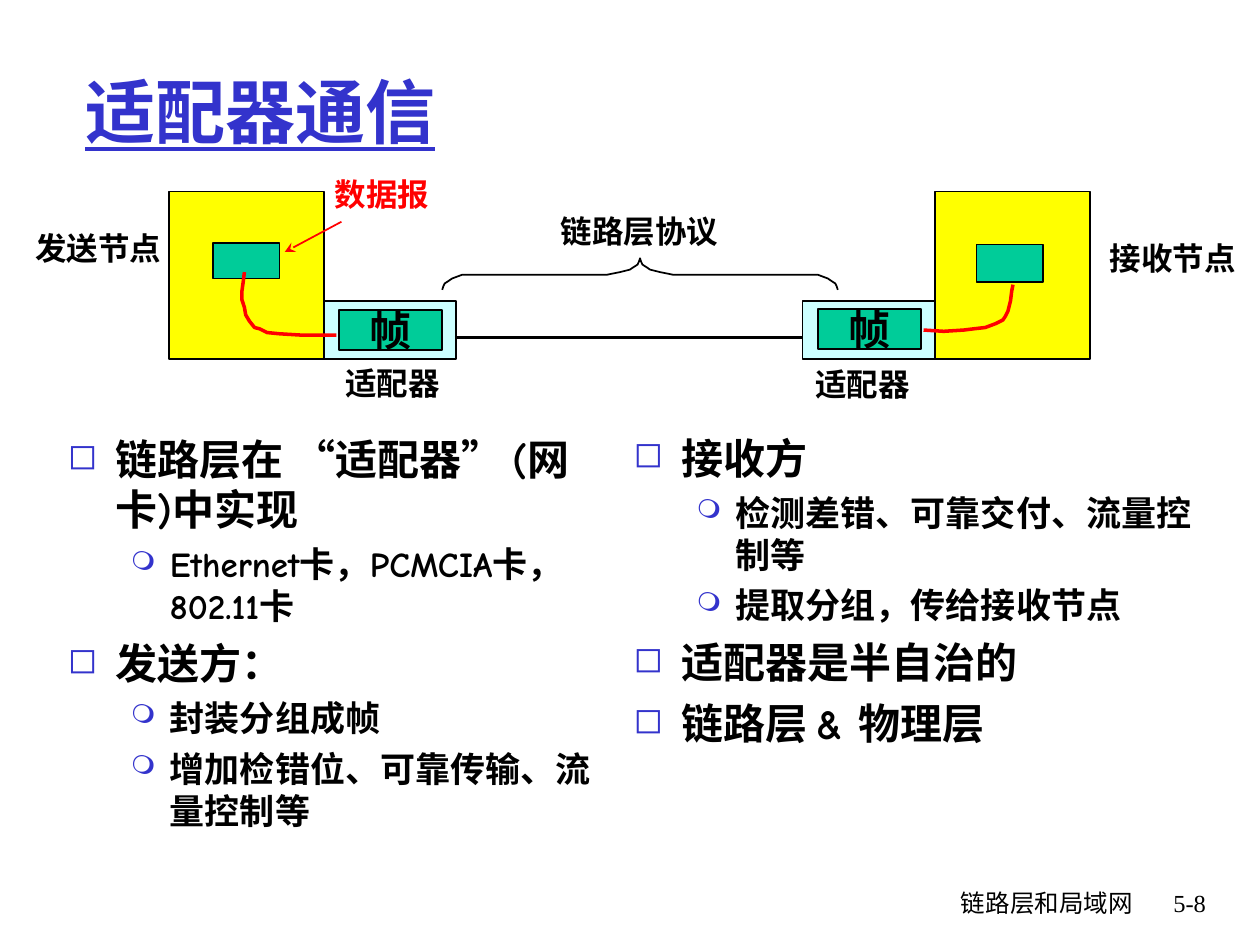
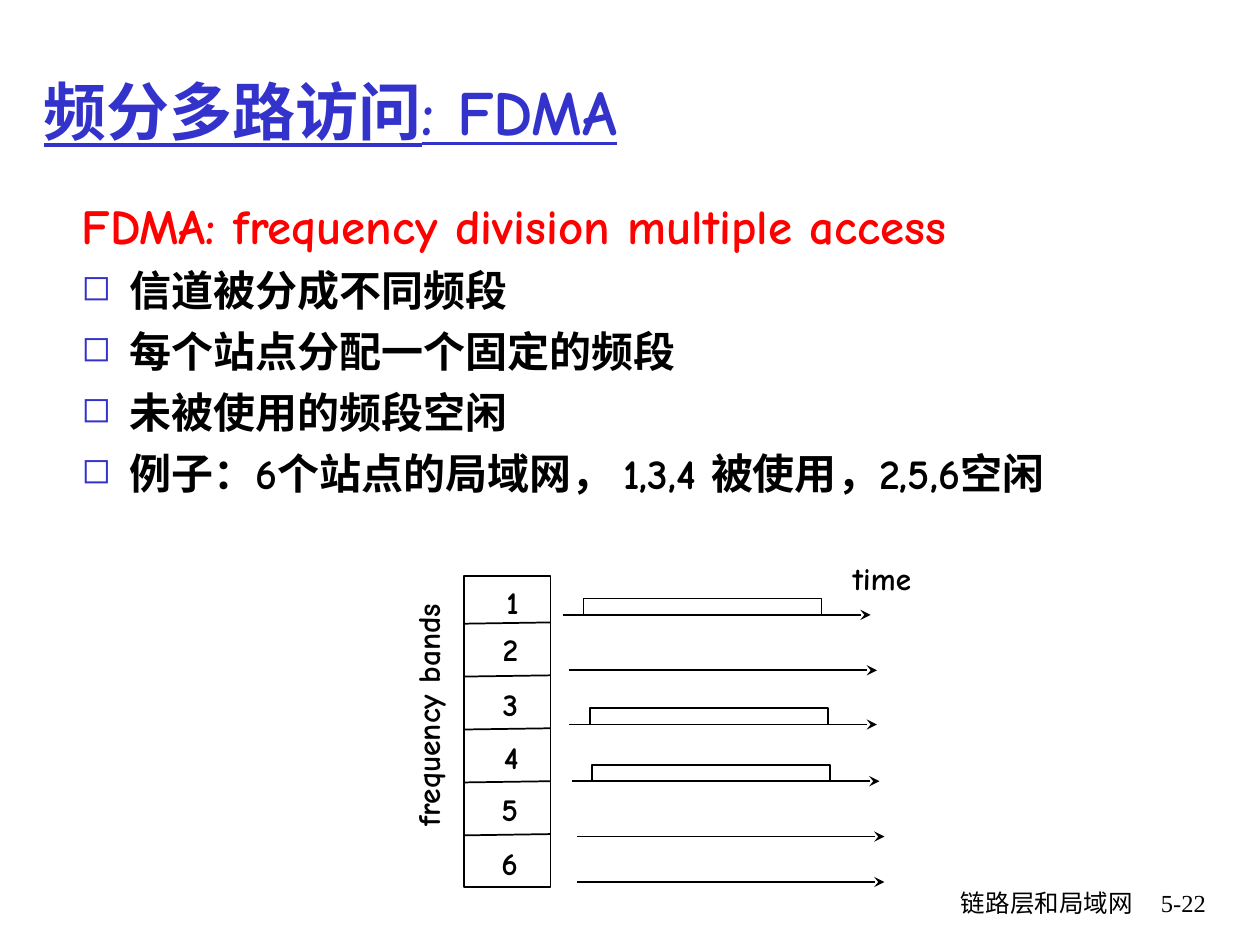
import pptx
import pptx.util
import pptx.dml.color
import pptx.enum.shapes
import pptx.enum.text
import pptx.oxml.ns
import pptx.shapes.connector
from lxml import etree

Inches = pptx.util.Inches
Pt = pptx.util.Pt
hue = pptx.dml.color.RGBColor.from_string
qn = pptx.oxml.ns.qn
RECT = pptx.enum.shapes.MSO_SHAPE.RECTANGLE
LINE = pptx.enum.shapes.MSO_CONNECTOR.STRAIGHT
MID = pptx.enum.text.MSO_ANCHOR.MIDDLE
LEFT = pptx.enum.text.PP_ALIGN.LEFT
RIGHT = pptx.enum.text.PP_ALIGN.RIGHT
CENTER = pptx.enum.text.PP_ALIGN.CENTER

BLACK, BLUE, RED, GREEN = "000000", "3333CC", "FF0000", "00CC99"
YELLOW, CYAN, WHITE = "FFFF00", "CCFFFF", "FFFFFF"
BASE = {"name": "Comic Neue", "size": Pt(18), "bold": True}
FOOT = {"size": Pt(14), "bold": False}
HEAD = {"size": Pt(28)}
BIG = {"size": Pt(24)}
SMALL = {"size": Pt(20)}
KINDS = {
    "head": (HEAD, RED, 0.38, -0.38, 7, None, 0),
    "main": (BIG, BLACK, 0.38, -0.38, 6, "◻", 85),
    "sub": (SMALL, BLACK, 0.81, -0.31, 5, "❍", 75),
}


def write(frame, rows, form=None, color=BLACK, align=LEFT, wrap=False):
    frame.word_wrap = wrap
    for num, (kind, text) in enumerate(rows):
        par = frame.add_paragraph() if num else frame.paragraphs[0]
        par.alignment = align
        look, ink = form or {}, color
        if kind:
            look, ink, left, hang, gap, mark, size = KINDS[kind]
            if num:
                par.space_before = Pt(gap)
            prop = par._p.get_or_add_pPr()
            prop.set("marL", str(Inches(left)))
            prop.set("indent", str(Inches(hang)))
            if mark:
                tint = etree.SubElement(prop, qn("a:buClr"))
                etree.SubElement(tint, qn("a:srgbClr"), val=BLUE)
                etree.SubElement(prop, qn("a:buSzPct"), val=str(size * 1000))
                etree.SubElement(prop, qn("a:buChar"), char=mark)
        run = par.add_run()
        run.text = text
        for key, val in {**BASE, **look}.items():
            setattr(run.font, key, val)
        run.font.color.rgb = hue(ink)


def trim(shape, color=BLACK, width=1, fill=None, tip=False):
    shape.line.color.rgb = hue(color)
    shape.line.width = Pt(width)
    props = shape.element.spPr
    if tip:
        etree.SubElement(props.find(qn("a:ln")), qn("a:tailEnd"), type="stealth")
    if isinstance(shape, pptx.shapes.connector.Connector):
        etree.SubElement(props, qn("a:effectLst"))
        return
    shape.shadow.inherit = False
    if fill:
        shape.fill.solid()
        shape.fill.fore_color.rgb = hue(fill)
    else:
        shape.fill.background()


deck = pptx.Presentation()
deck.slide_width, deck.slide_height = Inches(10), Inches(7.5)

pages = []
for title, left, width, size, page in [
    ("适配器通信", 0.58, 8.5, 40, "5-8"),
    ("频分多路访问: FDMA", 0.25, 9.44, 36, "5-22"),
]:
    slide = deck.slides.add_slide(deck.slide_layouts[6])
    pages.append(slide)
    for text, box, face in [
        ("链路层和局域网", (5.92, 7, 3.17, 0.5), "Comic Neue"),
        (page, (8.93, 7, 0.74, 0.5), "Times New Roman"),
    ]:
        frame = slide.shapes.add_textbox(*map(Inches, box)).text_frame
        write(frame, [(None, text)], {**FOOT, "name": face}, align=RIGHT, wrap=True)
    box = (left, 0.25, width, 1.25)
    frame = slide.shapes.add_textbox(*map(Inches, box)).text_frame
    frame.vertical_anchor = MID
    write(frame, [(None, title)], {"size": Pt(size), "underline": True}, BLUE, wrap=True)

link, fdma = [slide.shapes for slide in pages]

for shapes, box, rows in [
    (link, (0.44, 3.39, 4.45, 3.31), [
        ("main", "链路层在 “适配器” (网卡)中实现"),
        ("sub", "Ethernet卡，PCMCIA卡， 802.11卡"),
        ("main", "发送方："),
        ("sub", "封装分组成帧"),
        ("sub", "增加检错位、可靠传输、流量控制等"),
    ]),
    (link, (4.93, 3.38, 4.72, 3.27), [
        ("main", "接收方"),
        ("sub", "检测差错、可靠交付、流量控制等"),
        ("sub", "提取分组，传给接收节点"),
        ("main", "适配器是半自治的"),
        ("main", "链路层 & 物理层"),
    ]),
    (fdma, (0.55, 1.5, 8.99, 5.08), [
        ("head", "FDMA: frequency division multiple access"),
        ("main", "信道被分成不同频段"),
        ("main", "每个站点分配一个固定的频段"),
        ("main", "未被使用的频段空闲"),
        ("main", "例子：6个站点的局域网， 1,3,4 被使用，2,5,6空闲"),
    ]),
]:
    write(shapes.add_textbox(*map(Inches, box)).text_frame, rows, wrap=True)

for node, card, top, data in [
    (1.34, 2.57, 2.46, (1.69, 1.93, 0.53, 0.28)),
    (7.42, 6.37, 2.45, (7.75, 1.94, 0.53, 0.3)),
]:
    for box, fill in [
        ((card, 2.39, 1.05, 0.46), CYAN),
        ((node, 1.52, 1.23, 1.33), YELLOW),
        (data, GREEN),
        ((card + 0.12, top, 0.82, 0.32), GREEN),
    ]:
        rect = link.add_shape(RECT, *map(Inches, box))
        trim(rect, fill=fill)
    rect.text_frame.vertical_anchor = MID
    write(rect.text_frame, [(None, "帧")], BIG, align=CENTER)

for ends, color, width, tip in [
    ((3.61, 2.68, 6.37, 2.68), BLACK, 2, False),
    ((2.71, 1.76, 2.26, 2), RED, 1, True),
]:
    trim(link.add_connector(LINE, *map(Inches, ends)), color, width, tip=tip)

half = [(3.51, 2.3), (3.52, 2.27), (3.53, 2.25), (3.56, 2.23), (3.59, 2.21),
        (3.67, 2.18), (3.77, 2.18), (4.82, 2.18), (4.92, 2.16), (5, 2.14),
        (5.03, 2.12), (5.06, 2.1), (5.07, 2.08), (5.08, 2.05)]
brace = half + [(10.16 - x, y) for x, y in half[-2::-1]]
send = [(1.94, 2.16), (1.93, 2.24), (1.92, 2.31), (1.92, 2.38), (1.94, 2.44),
        (1.95, 2.5), (1.98, 2.55), (2.02, 2.6), (2.06, 2.61), (2.12, 2.64),
        (2.22, 2.65), (2.39, 2.66), (2.67, 2.66)]
take = [(7.33, 2.62), (7.49, 2.63), (7.65, 2.62), (7.73, 2.61), (7.82, 2.6),
        (7.9, 2.57), (7.96, 2.54), (7.98, 2.51), (8, 2.47), (8.02, 2.39),
        (8.03, 2.31), (8.04, 2.26)]
curves = [(link, brace, BLACK, 1), (link, send, RED, 2), (link, take, RED, 2)]

trim(fdma.add_shape(RECT, *map(Inches, (3.68, 4.57, 0.69, 2.47))), fill=WHITE)
for row in range(5):
    y = 4.95 + 0.42 * row
    trim(fdma.add_connector(LINE, *map(Inches, (3.68, y, 4.37, y - 0.01))))

labels = [
    (link, "发送节点", (0.18, 1.77, 1.2, 0.4), BLACK, 0),
    (link, "接收节点", (8.71, 1.85, 1.2, 0.4), BLACK, 0),
    (link, "数据报", (2.56, 1.34, 0.95, 0.4), RED, 0),
    (link, "适配器", (2.64, 2.84, 0.95, 0.4), BLACK, 0),
    (link, "适配器", (6.37, 2.85, 0.95, 0.4), BLACK, 0),
    (link, "链路层协议", (4.35, 1.63, 1.45, 0.4), BLACK, 0),
    (fdma, "frequency bands", (2.41, 5.47, 1.97, 0.4), BLACK, 270),
    (fdma, "time", (6.67, 4.39, 0.67, 0.4), BLACK, 1),
]
for num, (left, top, start, axis, busy) in enumerate([
    (3.92, 4.58, 4.47, 4.88, True),
    (3.89, 4.95, 4.52, 5.32, False),
    (3.89, 5.39, 4.52, 5.75, True),
    (3.9, 5.81, 4.54, 6.2, True),
    (3.88, 6.22, 4.58, 6.64, False),
    (3.88, 6.65, 4.58, 7, False),
], 1):
    labels.append((fdma, str(num), (left, top, 0.32, 0.4), BLACK, 0))
    ends = (start, axis, start + 2.44, axis)
    trim(fdma.add_connector(LINE, *map(Inches, ends)), tip=True)
    if busy:
        a, b = start + 0.16, start + 2.05
        pulse = [(a, axis), (a, axis - 0.13), (b, axis - 0.13), (b, axis)]
        curves.append((fdma, pulse, BLACK, 1))

for shapes, dots, color, width in curves:
    dots = [(Inches(x), Inches(y)) for x, y in dots]
    pen = shapes.build_freeform(*dots[0])
    pen.add_line_segments(dots[1:], close=False)
    trim(pen.convert_to_shape(), color, width)

for shapes, text, box, color, turn in labels:
    label = shapes.add_textbox(*map(Inches, box))
    label.rotation = turn
    write(label.text_frame, [(None, text)], color=color)

deck.save("out.pptx")
